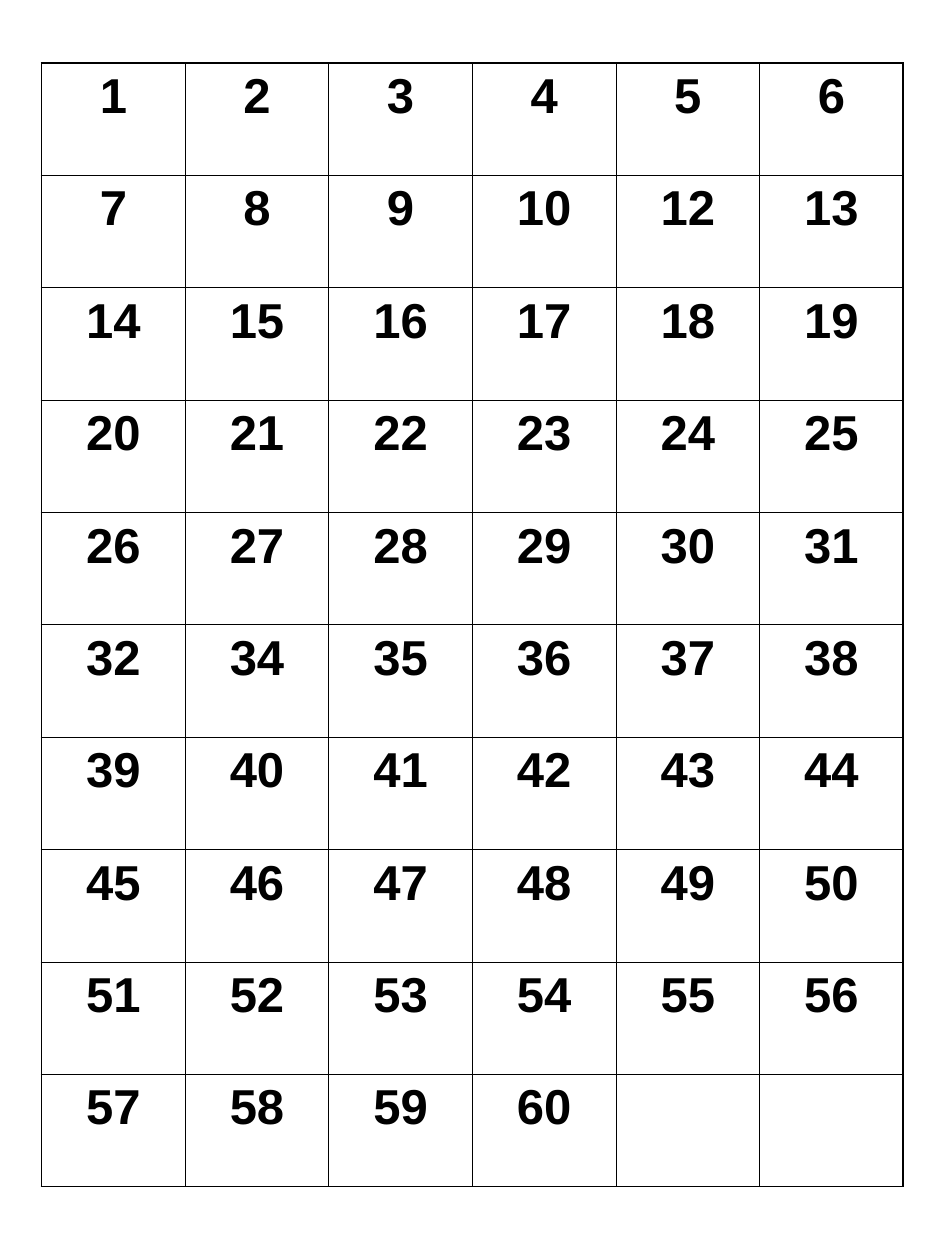
import pptx
import pptx.dml.color
import pptx.enum.text
import pptx.oxml.ns
import pptx.util
import lxml.etree

INK = pptx.dml.color.RGBColor(0x00, 0x00, 0x00)
COLUMNS, ROWS = 6, 10
OUTER, INNER = pptx.util.Pt(1.08), pptx.util.Pt(0.45)
SKIPPED = (11, 33)
numbers = [n for n in range(1, 61) if n not in SKIPPED]


def add_border(cell, position, side, width):
    qn = pptx.oxml.ns.qn
    line = lxml.etree.Element(qn(f"a:ln{side}"), w=str(int(width)))
    fill = lxml.etree.SubElement(line, qn("a:solidFill"))
    lxml.etree.SubElement(fill, qn("a:srgbClr"), val=str(INK))
    cell._tc.get_or_add_tcPr().insert(position, line)


deck = pptx.Presentation()
deck.slide_width = pptx.util.Inches(7.5)
deck.slide_height = pptx.util.Inches(10)
slide = deck.slides.add_slide(deck.slide_layouts[6])

column_width = pptx.util.Inches(1.14)
row_height = pptx.util.Inches(0.892)
grid = slide.shapes.add_table(
    ROWS, COLUMNS,
    (deck.slide_width - COLUMNS * column_width) // 2, deck.slide_height // 20,
    COLUMNS * column_width, ROWS * row_height,
).table
grid.first_row = False
grid.horz_banding = False

for index in range(ROWS * COLUMNS):
    row, column = divmod(index, COLUMNS)
    cell = grid.cell(row, column)
    cell.fill.background()
    edges = {
        "L": column == 0,
        "R": column == COLUMNS - 1,
        "T": row == 0,
        "B": row == ROWS - 1,
    }
    for position, (side, on_edge) in enumerate(edges.items()):
        add_border(cell, position, side, OUTER if on_edge else INNER)

    if index < len(numbers):
        cell.text = str(numbers[index])
        number = cell.text_frame.paragraphs[0]
        number.alignment = pptx.enum.text.PP_ALIGN.CENTER
        number.font.name = "Arial"
        number.font.size = pptx.util.Pt(28)
        number.font.bold = True
        number.font.color.rgb = INK

deck.save("out.pptx")
